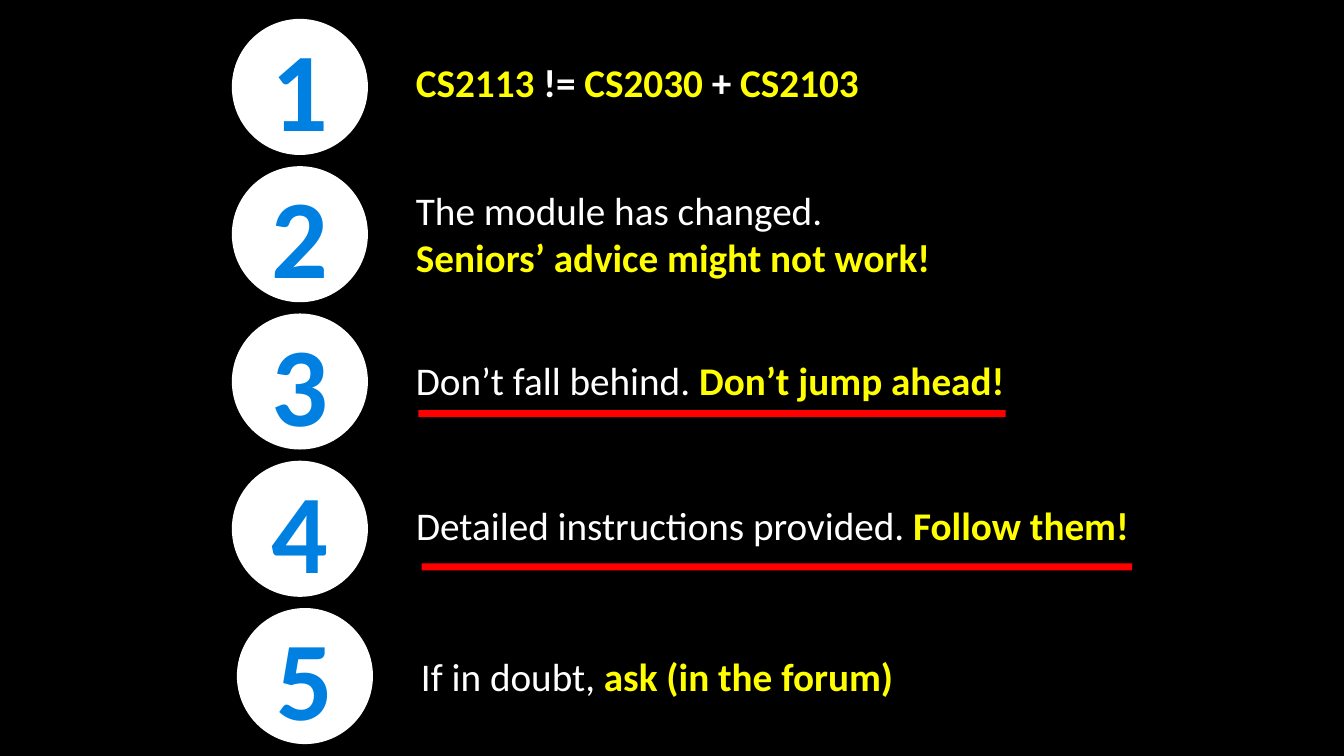
from dataclasses import dataclass

from pptx import Presentation
from pptx.dml.color import RGBColor
from pptx.enum.shapes import MSO_SHAPE
from pptx.enum.text import MSO_ANCHOR, MSO_AUTO_SIZE, PP_ALIGN
from pptx.util import Pt

CIRCLE = MSO_SHAPE.FLOWCHART_CONNECTOR
RECTANGLE = MSO_SHAPE.RECTANGLE
MIDDLE = MSO_ANCHOR.MIDDLE
NO_AUTOFIT = MSO_AUTO_SIZE.NONE
LEFT, CENTER = PP_ALIGN.LEFT, PP_ALIGN.CENTER
TITLE_ONLY = 5


@dataclass(frozen=True)
class Theme:
    font: str = "Calibri"
    background: RGBColor = RGBColor(0, 0, 0)
    plain: RGBColor = RGBColor(255, 255, 255)
    accent: RGBColor = RGBColor(255, 255, 0)
    number: RGBColor = RGBColor(0, 0x81, 0xE2)
    underline: RGBColor = RGBColor(255, 0, 0)
    advice_size: int = 28
    number_size: int = 80


THEME = Theme()

# Number circles: even steps down the slide
CIRCLE_LEFT, CIRCLE_TOP = 165.6, 13.5
CIRCLE_SIZE, CIRCLE_STEP = 97.2, 105.2

# Spans are (text, highlighted, bold); each advice is a list of lines.
# Each row: left shift, text top, width, height, lines
ADVICE = [
    (0, 13.5, 518, 90, [[("CS2113 ", True, True), ("!=", False, True),
                         (" CS2030 ", True, True), ("+", False, True),
                         (" CS2103", True, True)]]),
    (0, 121.5, 531, 90, [[("The module has changed.", False, False)],
                         [("Seniors’ advice might not work!", True, True)]]),
    (0, 230.5, 531, 81, [[("Don’t fall behind. ", False, False),
                          ("Don’t jump ahead!", True, True)]]),
    (0, 330, 531, 90, [[("Detailed instructions provided. ", False, False),
                        ("Follow them!", True, True)]]),
    (3.6, 438, 528, 90, [[("If in doubt, ", False, False),
                          ("ask (in the forum)", True, True)]]),
]
ADVICE_LEFT = 290
TITLE_ROW = 3

# Underlines: left, top, width
UNDERLINES = [(298.8, 293, 419.5), (301.2, 402.5, 507.5)]
UNDERLINE_HEIGHT = 5


def place(shape, left, top, width, height):
    shape.left, shape.top = Pt(left), Pt(top)
    shape.width, shape.height = Pt(width), Pt(height)


def add_solid(page, kind, left, top, width, height, color):
    shape = page.shapes.add_shape(kind, Pt(left), Pt(top), Pt(width), Pt(height))
    shape.shadow.inherit = False
    shape.fill.solid()
    shape.fill.fore_color.rgb = color
    shape.line.fill.background()
    return shape


def add_number(page, number, left, top):
    circle = add_solid(page, CIRCLE, left, top, CIRCLE_SIZE, CIRCLE_SIZE, THEME.plain)
    circle.text_frame.vertical_anchor = MIDDLE
    para = circle.text_frame.paragraphs[0]
    para.text = str(number)
    para.alignment = CENTER
    para.font.name, para.font.size = THEME.font, Pt(THEME.number_size)
    para.font.bold = True
    para.font.color.rgb = THEME.number


def write_advice(box, lines):
    frame = box.text_frame
    frame.word_wrap = True
    frame.auto_size = NO_AUTOFIT
    frame.vertical_anchor = MIDDLE
    para = frame.paragraphs[0]
    para.alignment = LEFT
    para.font.name, para.font.size = THEME.font, Pt(THEME.advice_size)
    for index, line in enumerate(lines):
        if index:
            para.add_line_break()
        for text, highlighted, bold in line:
            span = para.add_run()
            span.text = text
            span.font.name, span.font.size = THEME.font, Pt(THEME.advice_size)
            span.font.bold = bold
            span.font.color.rgb = THEME.accent if highlighted else THEME.plain


def main():
    deck = Presentation()
    deck.slide_width, deck.slide_height = Pt(960), Pt(540)
    page = deck.slides.add_slide(deck.slide_layouts[TITLE_ONLY])
    page.background.fill.solid()
    page.background.fill.fore_color.rgb = THEME.background

    # Numbered advice, one row each
    for row, (shift, top, width, height, lines) in enumerate(ADVICE):
        add_number(page, row + 1, CIRCLE_LEFT + shift, CIRCLE_TOP + row * CIRCLE_STEP)
        if row == TITLE_ROW:
            box = page.shapes.title
        else:
            box = page.shapes.add_textbox(0, 0, 0, 0)
        place(box, ADVICE_LEFT + shift, top, width, height)
        write_advice(box, lines)

    # Red underlines
    for left, top, width in UNDERLINES:
        add_solid(page, RECTANGLE, left, top, width, UNDERLINE_HEIGHT, THEME.underline)

    deck.save("out.pptx")


if __name__ == "__main__":
    main()
